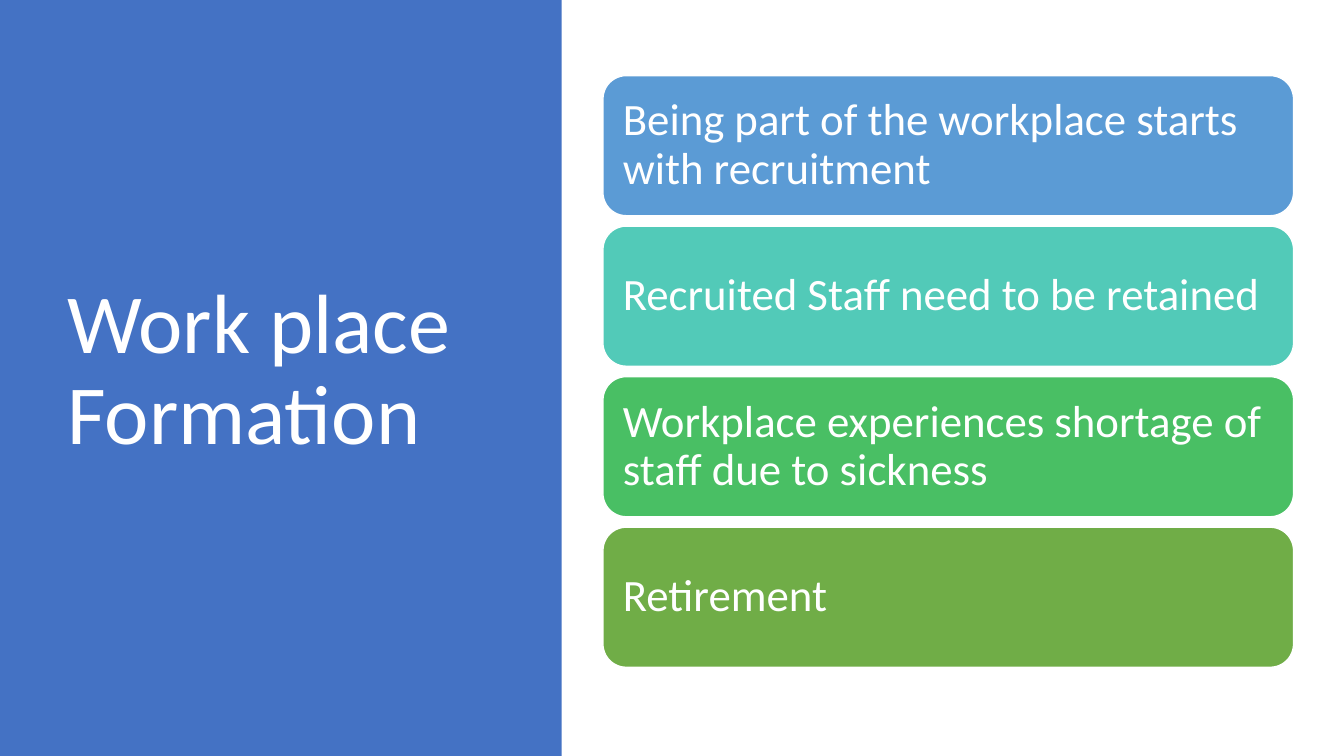
from pptx import Presentation
from pptx import util as u
from pptx.dml.color import RGBColor
from pptx.enum import shapes, text

HUES = {
    "panel": "4472C4",
    "white": "FFFFFF",
    "blue": "5B9BD5",
    "teal": "52CAB8",
    "green": "49BF64",
    "olive": "70AD47",
}
STEPS = [
    ("blue", "Being part of the workplace starts with recruitment"),
    ("teal", "Recruited Staff need to be retained"),
    ("green", "Workplace experiences shortage of staff due to sickness"),
    ("olive", "Retirement"),
]
TOP, LAST = 0.75, 5.23


class Deck:
    font = "Calibri"
    ink = "white"

    def __init__(self):
        self.show = Presentation()
        self.show.slide_width = u.Inches(13.33)
        self.show.slide_height = u.Inches(7.5)
        self.slide = self.show.slides.add_slide(self.show.slide_layouts[6])

    def color(self, name):
        return RGBColor.from_string(HUES[name])

    def shape(self, kind, box, fill, line=None):
        item = self.slide.shapes.add_shape(kind, *map(u.Inches, box))
        item.shadow.inherit = False
        item.fill.solid()
        item.fill.fore_color.rgb = self.color(fill)
        if line:
            item.line.color.rgb = self.color(line)
            item.line.width = u.Pt(1)
        else:
            item.line.fill.background()
        return item

    def label(self, item, words, size, sides, ends):
        frame = item.text_frame
        frame.word_wrap = True
        frame.vertical_anchor = text.MSO_ANCHOR.MIDDLE
        frame.margin_left = frame.margin_right = u.Inches(sides)
        frame.margin_top = frame.margin_bottom = u.Inches(ends)
        para = frame.paragraphs[0]
        para.alignment = text.PP_ALIGN.LEFT
        para.line_spacing = 0.9
        run = para.add_run()
        run.text = words
        run.font.name = self.font
        run.font.size = u.Pt(size)
        run.font.color.rgb = self.color(self.ink)

    def panel(self, box, fill):
        self.shape(shapes.MSO_SHAPE.RECTANGLE, box, fill)

    def title(self, box, words):
        item = self.slide.shapes.add_textbox(*map(u.Inches, box))
        self.label(item, words, 60, 0.1, 0.05)

    def card(self, box, fill, words):
        item = self.shape(shapes.MSO_SHAPE.ROUNDED_RECTANGLE, box, fill, "white")
        self.label(item, words, 32, 0.13, 0.13)


def main():
    deck = Deck()
    deck.panel((0, 0, 5.57, 7.5), "panel")
    deck.title((0.57, 0.68, 4.16, 6.02), "Work place Formation")
    pitch = (LAST - TOP) / (len(STEPS) - 1)
    for row, (fill, words) in enumerate(STEPS):
        deck.card((5.98, TOP + row * pitch, 6.85, 1.39), fill, words)
    deck.show.save("out.pptx")


if __name__ == "__main__":
    main()
